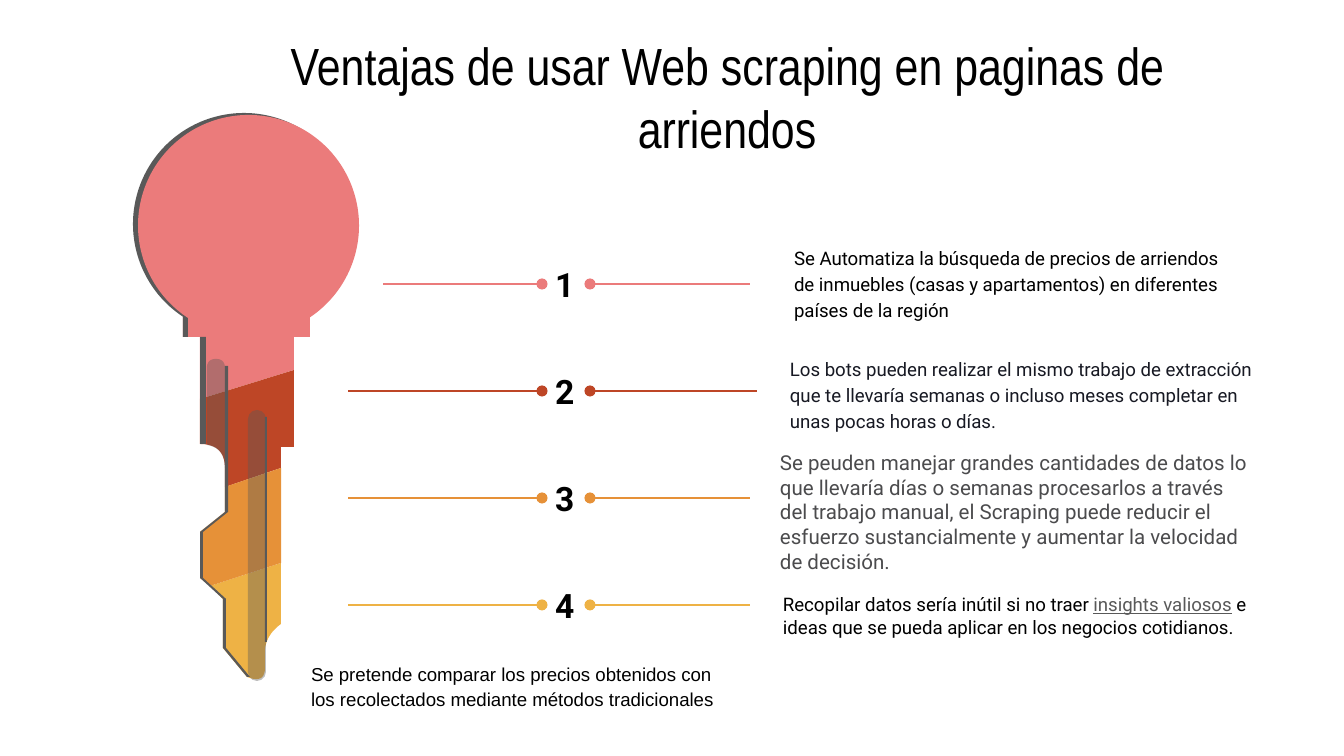
from lxml.etree import SubElement
from pptx import Presentation
from pptx.dml.color import RGBColor
from pptx.enum.shapes import MSO_CONNECTOR, MSO_SHAPE
from pptx.enum.text import MSO_ANCHOR, MSO_AUTO_SIZE, PP_ALIGN
from pptx.oxml.ns import qn
from pptx.util import Pt

SCALE = 914400 / 134.4
COLORS = {"pink": "EB7B7B", "red": "BE4626", "orange": "E69138", "yellow": "EEB245",
          "gray": "595959", "black": "000000", "navy": "171923", "slate": "4B4B4D"}

TITLE = "Ventajas de usar Web scraping en paginas de arriendos"

# Left, top, width, height, runs of (text, color, underlined), format
LOOSE = {"spacing": 1.15, "after": 16}
GROW = {"inset_y": 7, "grow": True}
TEXTS = [
    ((298, 646, 448, 75),
     [("Se pretende comparar los precios obtenidos con los recolectados mediante "
       "métodos tradicionales", "black", False)], {**LOOSE, "font": "Arial"}),
    ((781, 231, 473, 85),
     [("Se Automatiza la búsqueda de precios de arriendos de inmuebles (casas y "
       "apartamentos) en diferentes países de la región", "black", False)], LOOSE),
    ((777, 342, 492, 75),
     [("Los bots pueden realizar el mismo trabajo de extracción que te llevaría semanas "
       "o incluso meses completar en unas pocas horas o días.", "navy", False)], LOOSE),
    ((767, 443, 501, 138),
     [("Se peuden manejar grandes cantidades de datos lo que llevaría días o semanas "
       "procesarlos a través del trabajo manual, el Scraping puede reducir el esfuerzo "
       "sustancialmente y aumentar la velocidad de decisión.", "slate", False)],
     {**GROW, "size": 11}),
    ((770, 586, 530, 59),
     [("Recopilar datos sería inútil si no traer\u00a0", "black", False),
      ("insights valiosos", "gray", True),
      ("\u00a0e ideas que se pueda aplicar en los negocios cotidianos.", "black", False)], GROW),
]

ROW_COLORS = ["pink", "red", "orange", "yellow"]
ROW_TOP, ROW_PITCH = 284, 107
NUMBER_LEFT, NUMBER_WIDTH, NUMBER_HEIGHT = 542, 48, 66
LINE_ENDS = (348, 750)
SPECIAL_ENDS = {"pink": (383, 750), "red": (348, 757)}

# Preset pieces: shape, color, left, top, width, height
BOW = [(MSO_SHAPE.OVAL, "gray", 133, 113, 222, 222),
       (MSO_SHAPE.RECTANGLE, "pink", 183, 304, 127, 33),
       (MSO_SHAPE.RECTANGLE, "gray", 183, 312, 5, 25),
       (MSO_SHAPE.OVAL, "pink", 138, 115, 221, 221)]
EDGES = [(MSO_SHAPE.RECTANGLE, "gray", 200, 337, 6, 107),
         (MSO_SHAPE.RECTANGLE, "gray", 265, 417, 2, 225)]
LONG_GROOVE = (MSO_SHAPE.ROUNDED_RECTANGLE, "gray", 248, 410, 18, 271)

# Outlines: two numbers are a corner, four a control point and the end of a curve
BLADE = [
    ("pink", [(200, 321), (200, 399), (294, 370), (294, 321)]),
    ("yellow", [(281, 563), (210, 586), (223, 599), (223, 648), (247, 677),
                (265, 684, 265, 668), (265, 649), (267, 634, 281, 624)]),
    ("red", [(294, 370), (200, 399), (200, 444), (225, 444, 225, 468), (225, 487),
             (281, 468), (281, 447), (294, 447)]),
    ("orange", [(281, 468), (225, 487), (225, 512), (200, 532), (200, 578),
                (210, 586), (281, 563)]),
]
SHORT_GROOVE = [(207, 445), (225, 448, 225, 468), (225, 368), (225, 359, 216, 359),
                (207, 359, 207, 368)]
LEFT_EDGE = [(225, 366), (225, 512), (200, 532), (200, 578), (223, 599), (223, 648),
             (247, 677)]
EDGE_WIDTH = 3


def px(value):
    """Turn pixels into EMU."""
    return round(value * SCALE)


def rgb(name):
    """Look up a color by name."""
    return RGBColor.from_string(COLORS[name])


def write_text(shape, runs, font="Roboto", size=10, bold=False, align=PP_ALIGN.LEFT,
               anchor=MSO_ANCHOR.TOP, spacing=1.0, after=0, inset_y=13, grow=False):
    """Fill a shape with one paragraph of formatted runs."""
    frame = shape.text_frame
    frame.word_wrap = True
    frame.auto_size = MSO_AUTO_SIZE.SHAPE_TO_FIT_TEXT if grow else MSO_AUTO_SIZE.NONE
    frame.vertical_anchor = anchor
    frame.margin_left = frame.margin_right = px(13)
    frame.margin_top = frame.margin_bottom = px(inset_y)
    paragraph = frame.paragraphs[0]
    paragraph.alignment = align
    paragraph.line_spacing = spacing
    paragraph.space_before, paragraph.space_after = Pt(0), Pt(after)
    for text, color, underlined in runs:
        run = paragraph.add_run()
        run.text = text
        run.font.name, run.font.size, run.font.bold = font, Pt(size), bold
        run.font.underline = underlined
        run.font.color.rgb = rgb(color)


def add_text(slide, box, runs, **text_format):
    """Add a text box at a pixel position."""
    write_text(slide.shapes.add_textbox(*map(px, box)), runs, **text_format)


def paint(shape, color, opacity=100):
    """Give a shape a plain fill without line or shadow."""
    shape.shadow.inherit = False
    shape.line.fill.background()
    shape.fill.solid()
    shape.fill.fore_color.rgb = rgb(color)
    if opacity < 100:
        color_node = shape._element.spPr.find(qn("a:solidFill"))[0]
        SubElement(color_node, qn("a:alpha"), val=str(opacity * 1000))


def add_preset(slide, kind, color, *box, opacity=100):
    """Add a painted preset shape and return it."""
    shape = slide.shapes.add_shape(kind, *map(px, box))
    paint(shape, color, opacity)
    return shape


def flatten(outline, steps=10):
    """Turn corners and curves into EMU points."""
    points = []
    for segment in outline:
        if len(segment) == 2:
            points.append(segment)
            continue
        start, control, end = points[-1], segment[:2], segment[2:]
        for step in range(1, steps + 1):
            t = step / steps
            points.append(tuple((1 - t) ** 2 * a + 2 * t * (1 - t) * b + t * t * c
                                for a, b, c in zip(start, control, end)))
    return [(px(x), px(y)) for x, y in points]


def add_outline(slide, color, outline, opacity=100):
    """Draw one closed piece of the key."""
    points = flatten(outline)
    builder = slide.shapes.build_freeform(*points[0], scale=1.0)
    builder.add_line_segments(points[1:], close=True)
    paint(builder.convert_to_shape(), color, opacity)


def add_pointer(slide, start, end, y, color):
    """Draw a horizontal line with a dot at its start."""
    line = slide.shapes.add_connector(MSO_CONNECTOR.STRAIGHT, px(start), px(y), px(end), px(y))
    line.line.color.rgb = rgb(color)
    line.line.width = Pt(1.5)
    properties = line._element.spPr
    SubElement(properties.find(qn("a:ln")), qn("a:headEnd"), type="oval")
    SubElement(properties, qn("a:effectLst"))


presentation = Presentation()
presentation.slide_width, presentation.slide_height = px(1344), px(756)
slide = presentation.slides.add_slide(presentation.slide_layouts[5])

title = slide.shapes.title
title.left, title.top, title.width, title.height = map(px, (207, 79, 1040, 34))
write_text(title, [(TITLE, "black", False)], font="Arial Narrow", size=28,
           align=PP_ALIGN.CENTER, anchor=MSO_ANCHOR.MIDDLE)

for piece in BOW:
    add_preset(slide, *piece)
for color, outline in BLADE:
    add_outline(slide, color, outline)
add_outline(slide, "gray", SHORT_GROOVE, opacity=39)
add_preset(slide, *LONG_GROOVE, opacity=39).adjustments[0] = 0.5
for piece in EDGES:
    add_preset(slide, *piece)
add_outline(slide, "gray", LEFT_EDGE + [(x + EDGE_WIDTH, y) for x, y in reversed(LEFT_EDGE)])

for index, color in enumerate(ROW_COLORS):
    y = ROW_TOP + index * ROW_PITCH
    left_end, right_end = SPECIAL_ENDS.get(color, LINE_ENDS)
    add_text(slide, (NUMBER_LEFT, y - NUMBER_HEIGHT // 2, NUMBER_WIDTH, NUMBER_HEIGHT),
             [(str(index + 1), "black", False)], size=18, bold=True,
             anchor=MSO_ANCHOR.MIDDLE)
    add_pointer(slide, NUMBER_LEFT, left_end, y, color)
    add_pointer(slide, NUMBER_LEFT + NUMBER_WIDTH, right_end, y, color)

for box, runs, text_format in TEXTS:
    add_text(slide, box, runs, **text_format)

presentation.save("out.pptx")
